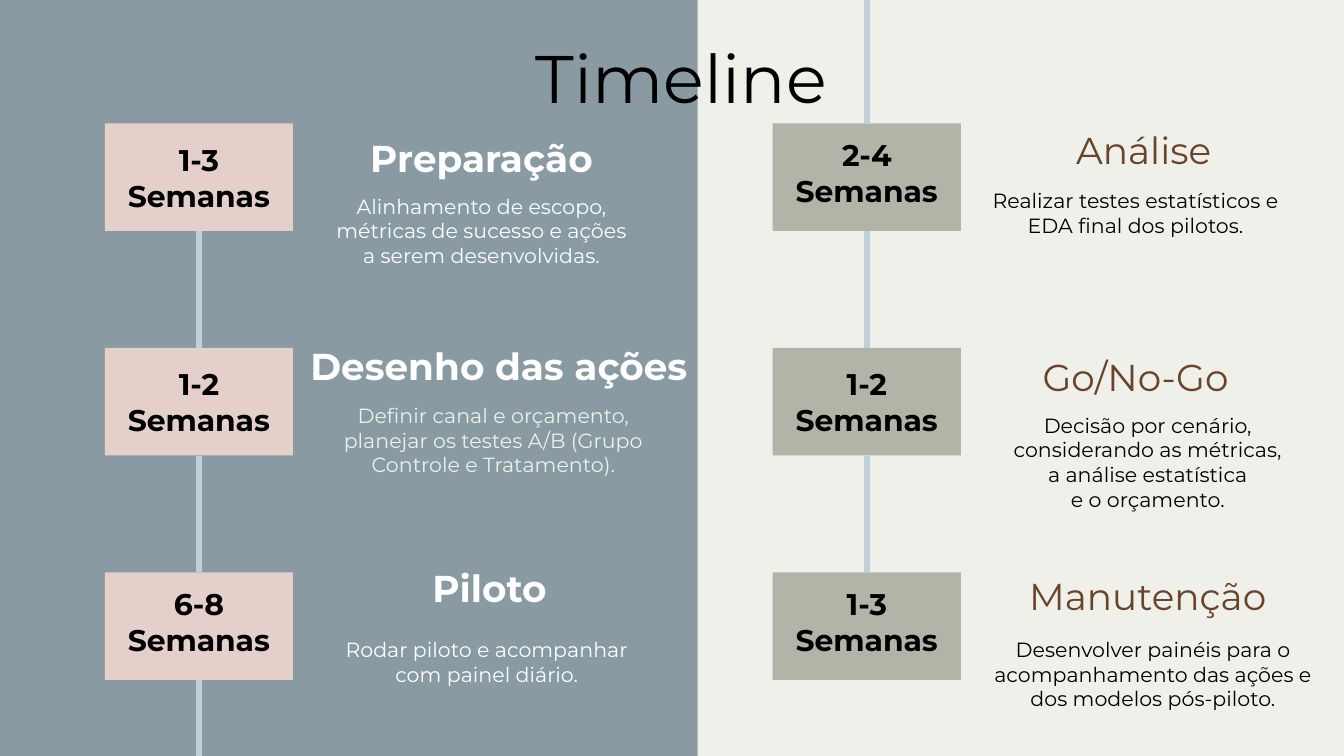
from dataclasses import dataclass

from lxml import etree
from pptx import Presentation
from pptx.dml.color import RGBColor
from pptx.enum.shapes import MSO_CONNECTOR, MSO_SHAPE
from pptx.enum.text import MSO_ANCHOR, PP_ALIGN
from pptx.oxml.ns import qn
from pptx.util import Pt

RECT = MSO_SHAPE.RECTANGLE
STRAIGHT = MSO_CONNECTOR.STRAIGHT
CENTER = PP_ALIGN.CENTER
TOP, MIDDLE, BOTTOM = MSO_ANCHOR.TOP, MSO_ANCHOR.MIDDLE, MSO_ANCHOR.BOTTOM


@dataclass(frozen=True)
class Theme:
    font: str = "Montserrat"
    slate: str = "899AA3"
    cream: str = "EEF0E9"
    pink: str = "E4CFCB"
    sage: str = "B1B4A6"
    brown: str = "6B432A"
    line: str = "C0D0D8"
    white: str = "FFFFFF"
    black: str = "000000"
    title: int = 36
    heading: int = 20
    label: int = 16
    body: int = 11


@dataclass(frozen=True)
class Step:
    label: str
    heading: str
    heading_box: tuple  # x, y, width from the card's corner
    body: str
    body_box: tuple
    body_color: str
    lift: float = 0  # extra bottom inset that raises the label


T = Theme()
WIDTH, HEIGHT = 720, 405
CARD_W, CARD_H, PITCH = 100.8, 57.6, 120.24
HEADING_H, BODY_H, INSET = 36, 40.3, 7.2

LEFT_STEPS = [
    Step("1-3 Semanas", "Preparação", (115.4, -5.7, 172.8),
         "Alinhamento de escopo, métricas de sucesso e ações a serem desenvolvidas.",
         (115.4, 30.3, 172.8), T.white),
    Step("1-2 Semanas", "Desenho das ações", (96.6, -14.4, 229),
         "Definir canal e orçamento, planejar os testes A/B (Grupo Controle e Tratamento).",
         (116, 22.3, 184.3), T.cream),
    Step("6-8 Semanas", "Piloto", (119.7, -15.8, 172.8),
         "Rodar piloto e acompanhar com painel diário.",
         (118.2, 27.4, 172.8), T.white, 4.8),
]
RIGHT_STEPS = [
    Step("2-4 Semanas", "Análise", (112.3, -10, 172.8),
         "Realizar testes estatísticos e EDA final dos pilotos.",
         (108, 27.4, 172.8), T.black, 4.8),
    Step("1-2 Semanas", "Go/No-Go", (108, -8.7, 172.8),
         "Decisão por cenário, considerando as métricas,\na análise estatística\ne o orçamento.",
         (108, 27.4, 185.8), T.black),
    Step("1-3 Semanas", "Manutenção", (114.5, -11.5, 172.8),
         "Desenvolver painéis para o acompanhamento das ações e dos modelos pós-piloto.",
         (108, 27.4, 191.5), T.black, 4.8),
]


def rgb(color):
    return RGBColor.from_string(color)


def write(sp, text, size, color, bold=False, anchor=MIDDLE, top=INSET, bottom=INSET):
    tf = sp.text_frame
    tf.text = text
    tf.word_wrap = True
    tf.vertical_anchor = anchor
    tf.margin_left = tf.margin_right = Pt(INSET)
    tf.margin_top, tf.margin_bottom = Pt(top), Pt(bottom)
    for p in tf.paragraphs:
        p.alignment = CENTER
        p.font.name, p.font.size, p.font.bold = T.font, Pt(size), bold
        p.font.color.rgb = rgb(color)


def add_rect(s, x, y, w, h, color):
    sp = s.shapes.add_shape(RECT, Pt(x), Pt(y), Pt(w), Pt(h))
    sp.shadow.inherit = False
    sp.fill.solid()
    sp.fill.fore_color.rgb = rgb(color)
    sp.line.fill.background()
    return sp


def add_text(s, x, y, w, h):
    return s.shapes.add_textbox(Pt(x), Pt(y), Pt(w), Pt(h))


def add_link(s, x, y1, y2):
    c = s.shapes.add_connector(STRAIGHT, Pt(x), Pt(y1), Pt(x), Pt(y2))
    c.line.color.rgb = rgb(T.line)
    c.line.width = Pt(3)
    etree.SubElement(c._element.spPr, qn("a:effectLst"))


def add_title(s, x, y, w, h):
    sp = s.shapes.title
    sp.left, sp.top, sp.width, sp.height = Pt(x), Pt(y), Pt(w), Pt(h)
    write(sp, "Timeline", T.title, T.black)
    return sp


def add_step(s, x, y, step, fill, heading_color, heading_bold):
    card = add_rect(s, x, y, CARD_W, CARD_H, fill)
    write(card, step.label, T.label, T.black, True, bottom=INSET + step.lift)

    dx, dy, w = step.heading_box
    heading = add_text(s, x + dx, y + dy, w, HEADING_H)
    write(heading, step.heading, T.heading, heading_color, heading_bold, BOTTOM, 0, 0)

    dx, dy, w = step.body_box
    body = add_text(s, x + dx, y + dy, w, BODY_H)
    write(body, step.body, T.body, step.body_color, anchor=TOP)


def add_column(s, x, y, steps, fill, heading_color, heading_bold):
    for i, step in enumerate(steps):
        card_y = y + i * PITCH
        add_step(s, x, card_y, step, fill, heading_color, heading_bold)
        if i < len(steps) - 1:
            add_link(s, x + CARD_W / 2, card_y + CARD_H, card_y + PITCH)


def main():
    prs = Presentation()
    prs.slide_width, prs.slide_height = Pt(WIDTH), Pt(HEIGHT)
    s = prs.slides.add_slide(prs.slide_layouts[5])

    # Two-tone background, with the panel behind the title
    s.background.fill.solid()
    s.background.fill.fore_color.rgb = rgb(T.slate)
    title = add_title(s, 5, 8, WIDTH, 66)
    panel = add_rect(s, 373.7, 0, WIDTH - 373.7, HEIGHT, T.cream)
    title._element.addprevious(panel._element)

    # Timeline columns
    left, right, top = 56.2, 414, 66.2
    add_column(s, left, top, LEFT_STEPS, T.pink, T.white, True)
    add_column(s, right, top, RIGHT_STEPS, T.sage, T.brown, False)

    # The line leaves at the bottom left and returns at the top right
    add_link(s, left + CARD_W / 2, top + 2 * PITCH + CARD_H, HEIGHT)
    add_link(s, right + CARD_W / 2, 0, top)

    prs.save("out.pptx")


if __name__ == "__main__":
    main()
